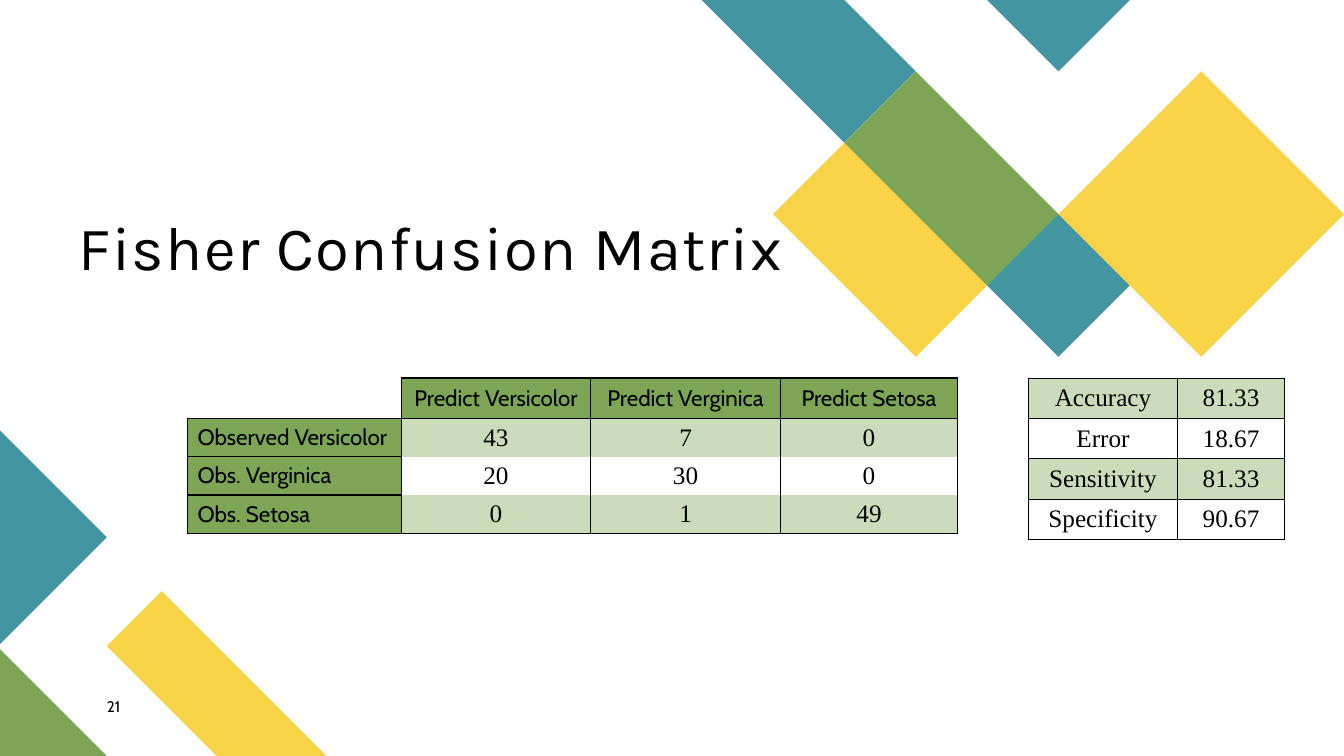
from dataclasses import dataclass

from lxml.etree import SubElement
from pptx import Presentation
from pptx.dml.color import RGBColor
from pptx.enum.text import MSO_ANCHOR, PP_ALIGN
from pptx.oxml.ns import qn
from pptx.util import Inches, Pt


@dataclass(frozen=True)
class Theme:
    teal: str = "4495A2"
    yellow: str = "F9D448"
    green: str = "7CA655"
    pale_green: str = "CBDCBA"
    white: str = "FFFFFF"
    ink: str = "000000"
    title_font: str = "Karla"
    label_font: str = "Cabin"
    value_font: str = "Times New Roman"
    title_size: int = 44
    value_size: int = 18
    label_size: int = 16
    number_size: int = 11


THEME = Theme()
WIDTH, HEIGHT = 13.33, 7.5
TABLE_TOP = HEIGHT / 2


def write_text(frame, text, *, font, size, align=PP_ALIGN.LEFT, spacing=0, line_spacing=1.0):
    paragraph = frame.paragraphs[0]
    paragraph.alignment = align
    paragraph.line_spacing = line_spacing
    run = paragraph.add_run()
    run.text = text
    run.font.name = font
    run.font.size = Pt(size)
    run.font.color.rgb = RGBColor.from_string(THEME.ink)
    if spacing:
        run.font._element.set("spc", str(spacing * 100))


def add_text_box(slide, box, text, anchor=MSO_ANCHOR.TOP, **text_format):
    shape = slide.shapes.add_textbox(*map(Inches, box))
    frame = shape.text_frame
    frame.word_wrap = True
    frame.vertical_anchor = anchor
    frame.margin_left = frame.margin_right = frame.margin_top = frame.margin_bottom = 0
    write_text(frame, text, **text_format)


def add_ornament(slide, origin, step, color, *outlines):
    """Draw outlines whose corners are counted in grid steps from the origin."""
    left, top = origin
    contours = [[(Inches(left + column * step), Inches(top + row * step))
                 for column, row in outline] for outline in outlines]
    builder = slide.shapes.build_freeform(*contours[0][0])
    for index, contour in enumerate(contours):
        if index:
            builder.move_to(*contour[0])
        builder.add_line_segments(contour[1:], close=True)
    shape = builder.convert_to_shape()
    shape.shadow.inherit = False
    shape.fill.solid()
    shape.fill.fore_color.rgb = RGBColor.from_string(color)
    shape.line.fill.background()


def diamond(column, row, radius):
    return [(column, row - radius), (column + radius, row),
            (column, row + radius), (column - radius, row)]


def add_upper_ornaments(slide):
    # Nine steps reach from the first stripe to the right edge
    step = HEIGHT * 0.0944
    origin = (WIDTH - 9 * step, 0)
    stripe = [(0, 0), (2, 0), (3, 1), (2, 2)]
    add_ornament(slide, origin, step, THEME.teal, stripe, diamond(5, 4, 1))
    add_ornament(slide, origin, step, THEME.yellow, [(2, 2), (4, 4), (3, 5), (1, 3)])
    add_ornament(slide, origin, step, THEME.teal, [(4, 0), (6, 0), (5, 1)])
    add_ornament(slide, origin, step, THEME.green, [(3, 1), (5, 3), (4, 4), (2, 2)])
    add_ornament(slide, origin, step, THEME.yellow, diamond(7, 3, 2))


def add_lower_ornaments(slide):
    corner = 1.06
    add_ornament(slide, (corner, HEIGHT), 0.545, THEME.yellow,
                 [(0, -2), (1, -3), (4, 0), (2, 0)])
    add_ornament(slide, (0, HEIGHT), corner, THEME.green, [(0, 0), (0, -1), (1, 0)])
    add_ornament(slide, (0, 5.33), corner, THEME.teal, [(0, -1), (1, 0), (0, 1)])


def style_cell(cell, text, *, fill, sides, width, **text_format):
    properties = cell._tc.get_or_add_tcPr()
    for side in "LRTB":
        line = SubElement(properties, qn(f"a:ln{side}"), w=str(Pt(width)))
        if side in sides:
            color = SubElement(SubElement(line, qn("a:solidFill")), qn("a:srgbClr"))
            color.set("val", THEME.ink)
        else:
            SubElement(line, qn("a:noFill"))
    cell.fill.solid()
    cell.fill.fore_color.rgb = RGBColor.from_string(fill)
    cell.vertical_anchor = MSO_ANCHOR.MIDDLE
    cell.margin_top = cell.margin_bottom = Inches(0.03)
    if text:
        write_text(cell.text_frame, text, **text_format)


def add_grid(slide, left, top, columns, rows):
    table = slide.shapes.add_table(
        len(rows), len(columns), Inches(left), Inches(top),
        Inches(sum(columns)), Inches(sum(rows))).table
    table.first_row = table.horz_banding = False
    for column, width in zip(table.columns, columns):
        column.width = Inches(width)
    for row, height in zip(table.rows, rows):
        row.height = Inches(height)
    return table


def add_confusion_matrix(slide, left, top):
    content = [
        ["", "Predict Versicolor", "Predict Verginica", "Predict Setosa"],
        ["Observed Versicolor", "43", "7", "0"],
        ["Obs. Verginica", "20", "30", "0"],
        ["Obs. Setosa", "0", "1", "49"],
    ]
    table = add_grid(slide, left, top, [2.12, 1.88, 1.88, 1.76], [0.4] + [0.38] * 3)
    last = len(content) - 1
    label = dict(font=THEME.label_font, size=THEME.label_size)
    value = dict(font=THEME.value_font, size=THEME.value_size)
    for row, texts in enumerate(content):
        for column, text in enumerate(texts):
            is_label = row == 0 or column == 0
            if not text:
                fill, sides = THEME.white, "RB"
            elif is_label:
                fill, sides = THEME.green, "LRTB"
            else:
                fill = THEME.pale_green if row % 2 else THEME.white
                sides = "LR" + "T" * (row == 1) + "B" * (row == last)
            style_cell(table.cell(row, column), text, fill=fill, sides=sides, width=1,
                       align=PP_ALIGN.CENTER if column else PP_ALIGN.LEFT,
                       **(label if is_label else value))


def add_scores(slide, left, top):
    scores = [("Accuracy", "81.33"), ("Error", "18.67"),
              ("Sensitivity", "81.33"), ("Specificity", "90.67")]
    table = add_grid(slide, left, top, [1.48, 1.06], [0.4] * len(scores))
    for row, texts in enumerate(scores):
        for column, text in enumerate(texts):
            style_cell(table.cell(row, column), text, sides="LRTB", width=0.75,
                       fill=THEME.white if row % 2 else THEME.pale_green,
                       font=THEME.value_font, size=THEME.value_size, align=PP_ALIGN.CENTER)


def build_matrix_slide(presentation):
    slide = presentation.slides.add_slide(presentation.slide_layouts[6])
    # Background ornaments
    add_lower_ornaments(slide)
    add_upper_ornaments(slide)
    # Title and slide number
    add_text_box(slide, (0.78, 2.15, 8.24, 0.67), "Fisher Confusion Matrix",
                 anchor=MSO_ANCHOR.BOTTOM, font=THEME.title_font, size=THEME.title_size,
                 spacing=1, line_spacing=0.9)
    add_text_box(slide, (1.06, 6.92, 0.57, 0.27), "21",
                 font=THEME.label_font, size=THEME.number_size)
    # Tables
    add_confusion_matrix(slide, 1.86, TABLE_TOP)
    add_scores(slide, 10.2, TABLE_TOP)


def main():
    presentation = Presentation()
    presentation.slide_width = Inches(WIDTH)
    presentation.slide_height = Inches(HEIGHT)
    build_matrix_slide(presentation)
    presentation.save("out.pptx")


if __name__ == "__main__":
    main()
